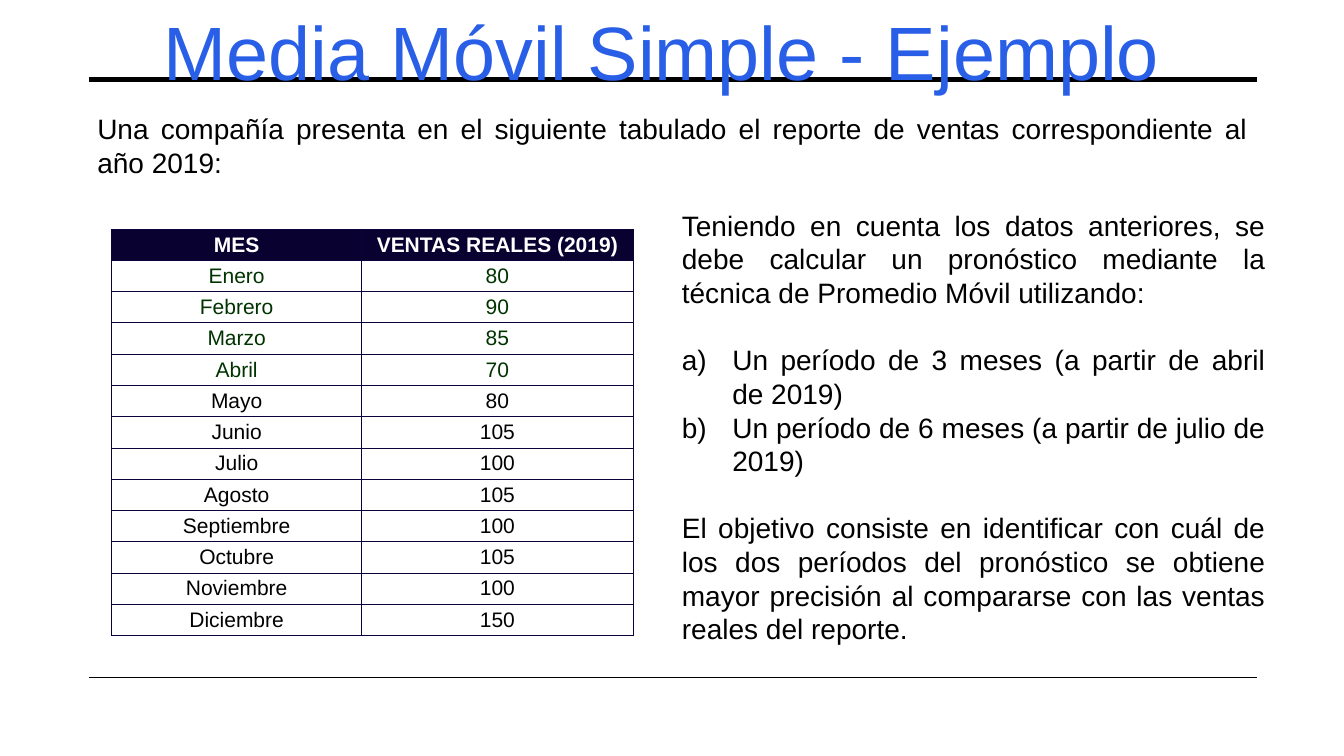
from dataclasses import dataclass

from lxml.etree import SubElement
from pptx import Presentation
from pptx.dml.color import RGBColor
from pptx.enum.shapes import MSO_CONNECTOR as Connector
from pptx.enum.text import MSO_ANCHOR as Anchor, PP_ALIGN as Align
from pptx.oxml.ns import qn
from pptx.util import Inches, Pt

WIDTH, HEIGHT = 13.33, 7.5
FONT = "Arial"
BLACK, WHITE, BLUE = "000000", "FFFFFF", "295FE7"
GREEN, NAVY, BORDER = "003300", "090230", "0B023A"


@dataclass
class Area:
    """A rectangle in shares of the slide's width and height."""
    left: float
    top: float
    width: float
    height: float

    def lengths(self) -> list[int]:
        return [across(self.left), down(self.top), across(self.width), down(self.height)]


@dataclass
class Rule:
    top: float
    weight: float


@dataclass
class Paragraph:
    text: str
    size: float = 20
    color: str = BLACK
    align: Align = Align.JUSTIFY
    gap: float = 0
    numbered: bool = False


@dataclass
class TextBlock:
    area: Area
    paragraphs: list[Paragraph]


def across(share: float) -> int:
    return Inches(WIDTH * share)


def down(share: float) -> int:
    return Inches(HEIGHT * share)


def paint(target, color: str) -> None:
    """Give a font, line or cell a solid colour."""
    target.fill.solid()
    target.fill.fore_color.rgb = RGBColor.from_string(color)


def set_font(para, size: float, color: str, bold: bool = False) -> None:
    para.font.name, para.font.size, para.font.bold = FONT, Pt(size), bold
    paint(para.font, color)


def draw_rule(page, rule: Rule) -> None:
    line = page.shapes.add_connector(
        Connector.STRAIGHT, across(0.066), down(rule.top), across(0.935), down(rule.top))
    line.line.width = Pt(rule.weight)
    paint(line.line, BLACK)
    SubElement(line._element.spPr, qn("a:effectLst"))


def draw_text(page, block: TextBlock) -> None:
    frame = page.shapes.add_textbox(*block.area.lengths()).text_frame
    frame.word_wrap = True
    for index, item in enumerate(block.paragraphs):
        para = frame.add_paragraph() if index else frame.paragraphs[0]
        para.text, para.alignment = item.text, item.align
        if item.gap:
            para.space_before = Pt(item.gap)
        if item.numbered:
            properties = para._p.get_or_add_pPr()
            properties.set("marL", str(Inches(0.5)))
            properties.set("indent", str(-Inches(0.5)))
            SubElement(properties, qn("a:buFont"), typeface="+mj-lt")
            SubElement(properties, qn("a:buAutoNum"), type="alphaLcParenR")
        set_font(para, item.size, item.color)


def add_borders(cell) -> None:
    properties = cell._tc.get_or_add_tcPr()
    for index, side in enumerate(("lnL", "lnR", "lnT", "lnB")):
        edge = properties.makeelement(qn(f"a:{side}"), {"w": str(Pt(0.75))})
        fill = SubElement(edge, qn("a:solidFill"))
        SubElement(fill, qn("a:srgbClr"), val=BORDER)
        properties.insert(index, edge)


def draw_table(page, area: Area, shares: list[float], rows: list[tuple[str, str]]) -> None:
    table = page.shapes.add_table(len(rows), len(shares), *area.lengths()).table
    for column, share in zip(table.columns, shares):
        column.width = across(area.width * share)
    for row_index, values in enumerate(rows):
        table.rows[row_index].height = down(area.height / len(rows))
        header = row_index == 0
        color = WHITE if header else GREEN if row_index <= 4 else BLACK
        for column_index, value in enumerate(values):
            cell = table.cell(row_index, column_index)
            cell.text, cell.vertical_anchor = value, Anchor.MIDDLE
            cell.margin_left = cell.margin_right = Inches(0.03)
            cell.margin_top = cell.margin_bottom = Inches(0.03)
            paint(cell, NAVY if header else WHITE)
            add_borders(cell)
            para = cell.text_frame.paragraphs[0]
            para.alignment = Align.CENTER
            set_font(para, 15, color, bold=header)


RULES = [Rule(0.105, 3.5), Rule(0.896, 1)]

TEXTS = [
    # Title
    TextBlock(Area(0.065, 0, 0.87, 0.135), [
        Paragraph("Media Móvil Simple - Ejemplo ", 54, BLUE, Align.CENTER)]),
    # Introduction
    TextBlock(Area(0.065, 0.141, 0.871, 0.103), [
        Paragraph("Una compañía presenta en el siguiente tabulado el reporte de ventas "
                  "correspondiente al año 2019:")]),
    # Task
    TextBlock(Area(0.5, 0.269, 0.449, 0.597), [
        Paragraph("Teniendo en cuenta los datos anteriores, se debe calcular un pronóstico "
                  "mediante la técnica de Promedio Móvil utilizando:"),
        Paragraph("Un período de 3 meses (a partir de abril de 2019)", gap=24, numbered=True),
        Paragraph("Un período de 6 meses (a partir de julio de 2019)", numbered=True),
        Paragraph("El objetivo consiste en identificar con cuál de los dos períodos del "
                  "pronóstico se obtiene mayor precisión al compararse con las ventas reales "
                  "del reporte.", gap=24)]),
]

SALES = [
    ("MES", "VENTAS REALES (2019)"),
    ("Enero", "80"), ("Febrero", "90"), ("Marzo", "85"), ("Abril", "70"),
    ("Mayo", "80"), ("Junio", "105"), ("Julio", "100"), ("Agosto", "105"),
    ("Septiembre", "100"), ("Octubre", "105"), ("Noviembre", "100"), ("Diciembre", "150"),
]


def main() -> None:
    deck = Presentation()
    deck.slide_width, deck.slide_height = Inches(WIDTH), Inches(HEIGHT)
    page = deck.slides.add_slide(deck.slide_layouts[6])
    # Lines above and below the content
    for rule in RULES:
        draw_rule(page, rule)
    for block in TEXTS:
        draw_text(page, block)
    # Monthly sales
    draw_table(page, Area(0.083, 0.303, 0.388, 0.53), [0.48, 0.52], SALES)
    deck.save("out.pptx")


if __name__ == "__main__":
    main()
